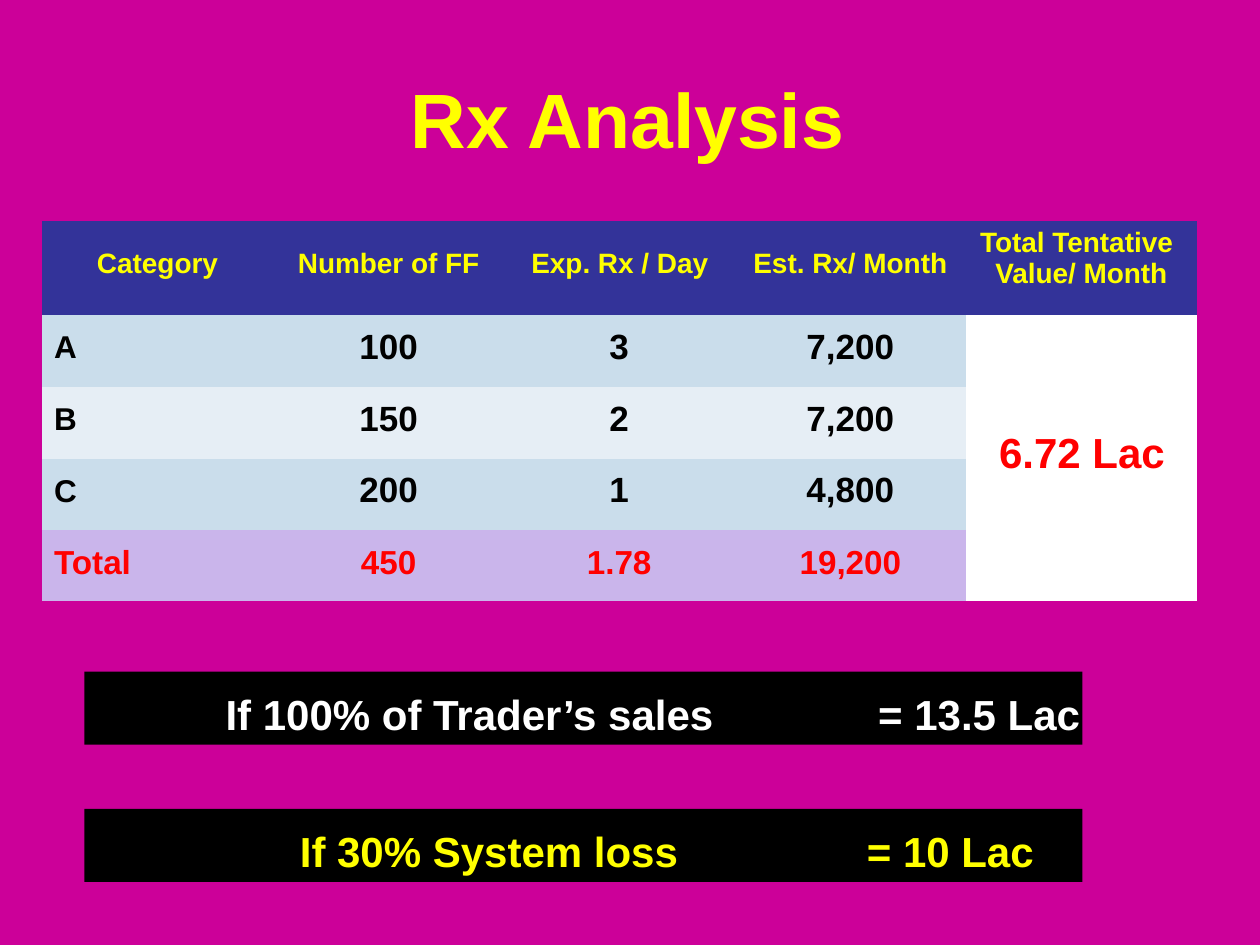
from lxml import etree
from pptx import Presentation
from pptx.dml.color import RGBColor
from pptx.enum import shapes, text
from pptx.oxml.ns import qn
from pptx.util import Inches, Pt

COLORS = dict(magenta="CC0099", yellow="FFFF00", navy="333399", blue="CADDEB",
              pale="E6EEF5", lilac="CAB5EB", white="FFFFFF", black="000000",
              red="FF0000")
LEFT, CENTER = text.PP_ALIGN.LEFT, text.PP_ALIGN.CENTER
TOP, MIDDLE, BOTTOM = (text.MSO_ANCHOR.TOP, text.MSO_ANCHOR.MIDDLE,
                       text.MSO_ANCHOR.BOTTOM)

prs = Presentation()
prs.slide_width, prs.slide_height = Inches(10), Inches(7.5)
s = prs.slides.add_slide(prs.slide_layouts[6])

# Grid of 100 columns and 75 rows
COL, ROW = prs.slide_width / 100, prs.slide_height / 75


def paint(fill, color):
    fill.solid()
    fill.fore_color.rgb = RGBColor.from_string(COLORS[color])


def write(holder, tf, words, size, color, align=LEFT, anchor=TOP,
          left=0, top=0, bottom=0):
    """Write one bold line; holder carries the insets and the anchor."""
    box = dict(margin_left=int(left * COL), margin_right=0,
               margin_top=int(top * ROW), margin_bottom=int(bottom * ROW),
               vertical_anchor=anchor)
    for name, value in box.items():
        setattr(holder, name, value)
    p = tf.paragraphs[0]
    p.alignment = align
    r = p.add_run()
    r.text = words
    for name, value in dict(name="Arial", size=Pt(size), bold=True).items():
        setattr(r.font, name, value)
    paint(r.font.fill, color)
    return p


# Background and title
paint(s.background.fill, "magenta")
sp = s.shapes.add_textbox(*map(int, (32.5 * COL, 5.4 * ROW, 34.9 * COL, 7.6 * ROW)))
tf = sp.text_frame
tf.word_wrap = True
write(tf, tf, "Rx Analysis", 44, "yellow", anchor=BOTTOM, left=0.1)

# Table
widths = [17.2, 19.6, 17.9, 18.7, 18.3]
heights = [7.5, 5.7, 5.7, 5.7, 5.6]
frame = s.shapes.add_table(len(heights), len(widths), *map(int, (
    3.3 * COL, 17.5 * ROW, sum(widths) * COL, sum(heights) * ROW)))
table = frame.table
table.first_row = table.horz_banding = False
# The "No Style, No Grid" table style has no borders
table._tbl.tblPr.find(qn("a:tableStyleId")).text = "{2D5ABB26-0587-4C30-8999-92F81FD0307C}"
for column, width in zip(table.columns, widths):
    column.width = int(width * COL)
for row, height in zip(table.rows, heights):
    row.height = int(height * ROW)

# Header row
indents = [4.4, 1.1, 0.3, 0.3]
headers = ["Category", "Number of FF", "Exp. Rx / Day", "Est. Rx/ Month"]
for c, (words, indent) in enumerate(zip(headers, indents)):
    cell = table.cell(0, c)
    paint(cell.fill, "navy")
    write(cell, cell.text_frame, words, 16, "yellow", CENTER if c else LEFT,
          MIDDLE, indent, bottom=0.7)
cell = table.cell(0, 4)
paint(cell.fill, "navy")
p = write(cell, cell.text_frame, "Total Tentative Value/ Month", 16, "yellow", top=0.5)
p.line_spacing = Pt(17.8)
pPr = p._p.get_or_add_pPr()
pPr.set("marL", str(int(2.3 * COL)))
pPr.set("indent", str(int(-1.2 * COL)))

# Body rows: values, fill, text colour, label size, number size, insets
body = [
    (["A", "100", "3", "7,200"], "blue", "black", 18, 20, 1.2, 1.0),
    (["B", "150", "2", "7,200"], "pale", "black", 18, 20, 1.2, 1.0),
    (["C", "200", "1", "4,800"], "blue", "black", 18, 20, 1.2, 1.0),
    (["Total", "450", "1.78", "19,200"], "lilac", "red", 19, 19, 1.1, 1.1),
]
indents = [1.0, 1.1, 0.2, 0.3]
for n, (values, fill, color, label, number, label_top, number_top) in enumerate(body, 1):
    for c, words in enumerate(values):
        cell = table.cell(n, c)
        paint(cell.fill, fill)
        write(cell, cell.text_frame, words, number if c else label, color,
              CENTER if c else LEFT, left=indents[c],
              top=number_top if c else label_top)

# Merged total value
cell = table.cell(1, 4)
cell.merge(table.cell(4, 4))
paint(cell.fill, "white")
write(cell, cell.text_frame, "6.72 Lac", 24, "red", anchor=MIDDLE, left=2.6, bottom=0.6)

# Black bars: row, wording, colour, left inset, tab stop
bars = [
    (64.2, "If 30% System loss\t= 10 Lac", "yellow", 17.1, 45),
    (53.3, "If 100% of Trader’s sales\t= 13.5 Lac", "white", 11.2, 51.8),
]
for y, words, color, indent, stop in bars:
    sp = s.shapes.add_shape(shapes.MSO_SHAPE.RECTANGLE, *map(int, (
        6.7 * COL, y * ROW, 79.2 * COL, 5.8 * ROW)))
    sp.shadow.inherit = False
    paint(sp.fill, "black")
    sp.line.fill.background()
    tf = sp.text_frame
    tf.word_wrap = True
    p = write(tf, tf, words, 24, color, anchor=MIDDLE, left=indent, top=0.9)
    tabs = etree.SubElement(p._p.get_or_add_pPr(), qn("a:tabLst"))
    etree.SubElement(tabs, qn("a:tab"), pos=str(int(stop * COL)), algn="l")

prs.save("out.pptx")
